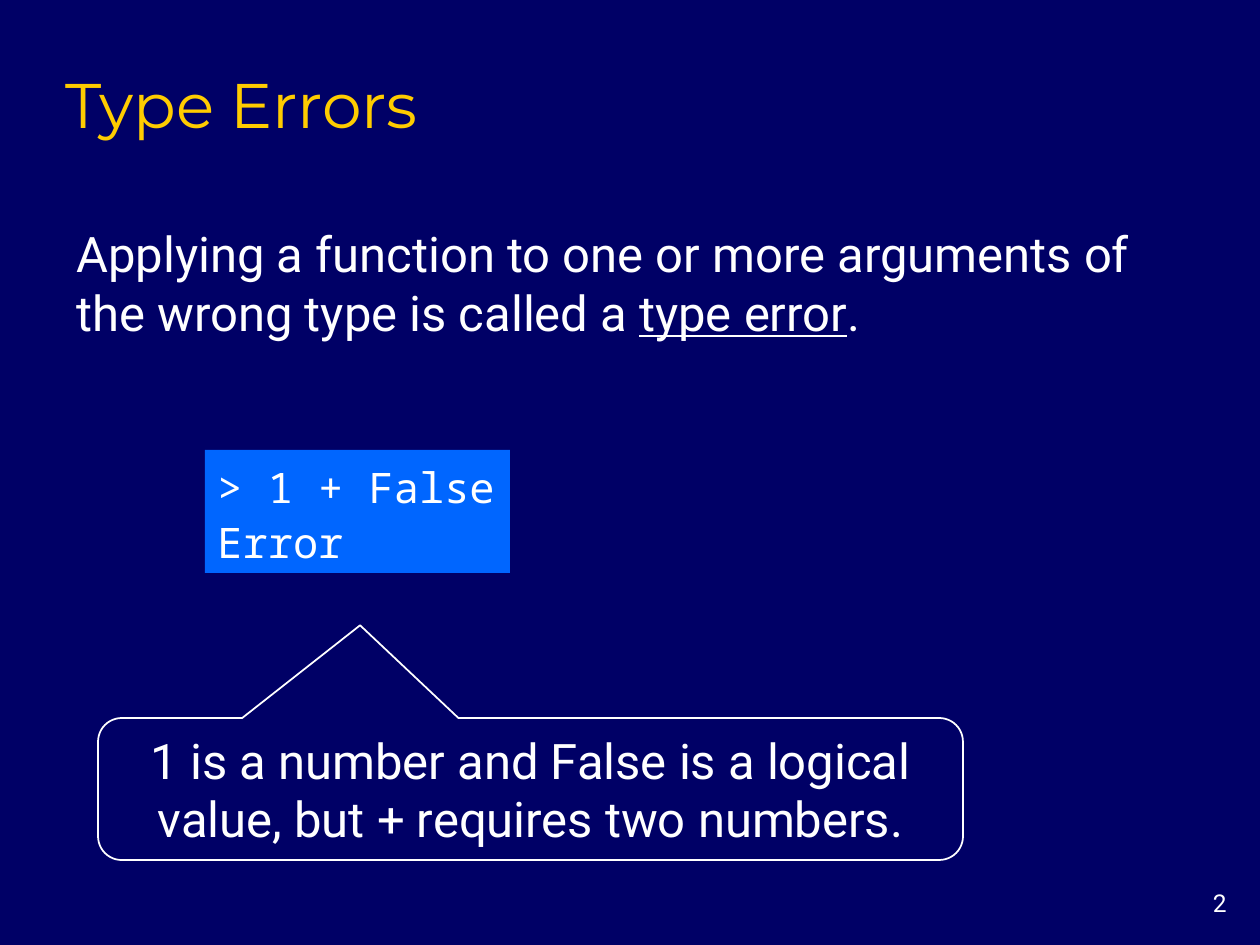
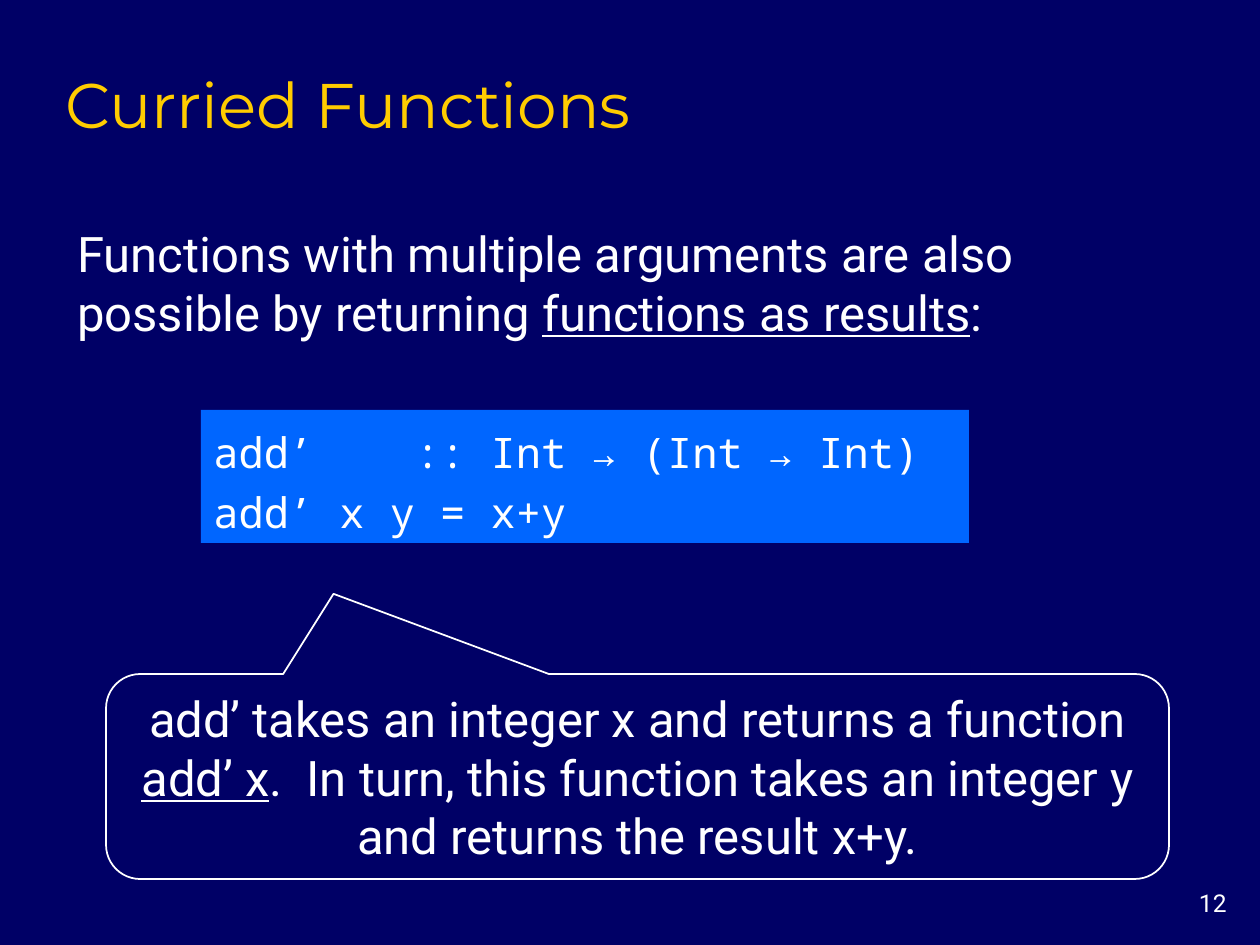
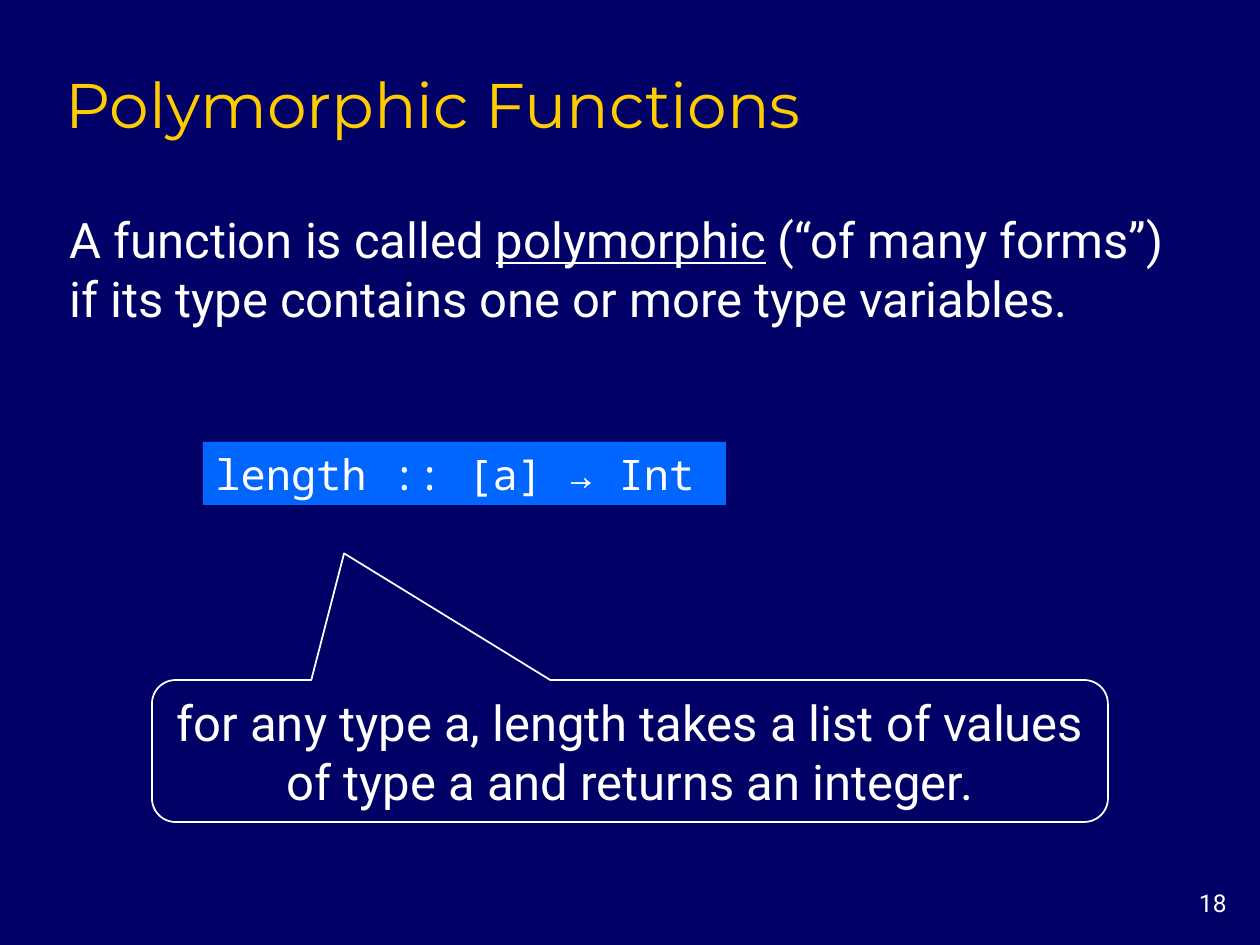
import pptx
import pptx.dml.color
import pptx.enum.shapes
import pptx.enum.text
import pptx.util

NAVY = pptx.dml.color.RGBColor(0x00, 0x00, 0x66)
BLUE = pptx.dml.color.RGBColor(0x00, 0x66, 0xFF)
GOLD = pptx.dml.color.RGBColor(0xFF, 0xCC, 0x00)
WHITE = pptx.dml.color.RGBColor(0xFF, 0xFF, 0xFF)

PIXELS_PER_INCH = 126
SLIDE_SIZE = (1260, 945)
TITLE_BOX = (53, 53, 1071, 94)
NUMBER_BOX = (1155, 882, 84, 42)
CALLOUT_CORNER = 0.167

SHAPES = pptx.enum.shapes.MSO_SHAPE
ALIGN = pptx.enum.text.PP_ALIGN
ANCHOR = pptx.enum.text.MSO_ANCHOR
GROW = pptx.enum.text.MSO_AUTO_SIZE.SHAPE_TO_FIT_TEXT

# Per role: font size, font name, colour, then frame and paragraph settings
STYLES = {
    "title": (36, "Montserrat", GOLD, {"vertical_anchor": ANCHOR.BOTTOM}, {"alignment": ALIGN.LEFT}),
    "number": (14, "Roboto", WHITE, {"vertical_anchor": ANCHOR.TOP}, {"alignment": ALIGN.RIGHT}),
    "body": (28, "Roboto", WHITE, {"vertical_anchor": ANCHOR.MIDDLE, "auto_size": GROW},
             {"alignment": ALIGN.LEFT}),
    "code": (24, "Noto Sans Mono", WHITE,
             {"vertical_anchor": ANCHOR.MIDDLE, "auto_size": GROW, "margin_right": 0},
             {"alignment": ALIGN.LEFT}),
    "callout": (28, "Roboto", WHITE, {"vertical_anchor": ANCHOR.MIDDLE, "auto_size": GROW},
                {"alignment": ALIGN.CENTER}),
}

# Text is a list of paragraphs; in each, every second run is underlined
SLIDES = [
    {
        "number": "2",
        "title": "Type Errors",
        "body": ["Applying a function to one or more arguments of the wrong type is called a ",
                 "type error", "."],
        "body_box": (64, 217, 1154, 130),
        "code": ["> 1 + False", "Error"],
        "code_box": (205, 450, 305, 123),
        "line_spacing": 1.1,
        "callout": ["1 is a number and False is a logical value, but + requires two numbers."],
        "callout_box": (98, 718, 865, 142),
        "tail": (-0.197, -1.153),
    },
    {
        "number": "12",
        "title": "Curried Functions",
        "body": ["Functions with multiple arguments are also possible by returning ",
                 "functions as results", ":"],
        "body_box": (65, 217, 1149, 130),
        "code": ["add’    :: Int → (Int → Int)", "add’ x y = x+y"],
        "code_box": (201, 410, 768, 133),
        "line_spacing": 1.2,
        "callout": ["add’ takes an integer x and returns a function ", "add’ x",
                    ".  In turn, this function takes an integer y and returns the result x+y."],
        "callout_box": (106, 674, 1063, 205),
        "tail": (-0.286, -0.891),
    },
    {
        "number": "18",
        "title": "Polymorphic Functions",
        "body": ["A function is called ", "polymorphic",
                 " (“of many forms”) if its type contains one or more type variables."],
        "body_box": (57, 203, 1123, 130),
        "code": ["length :: [a] → Int"],
        "code_box": (203, 442, 523, 63),
        "line_spacing": 1.0,
        "callout": ["for any type a, length takes a list of values of type a and returns an integer."],
        "callout_box": (152, 680, 956, 142),
        "tail": (-0.299, -1.392),
    },
]


def emu(pixels):
    """Turn pixels into EMU."""
    return pptx.util.Emu(round(pixels * 914400 / PIXELS_PER_INCH))


def apply_values(target, values):
    """Set each named attribute of the target."""
    for name, value in values.items():
        setattr(target, name, value)


def write_text(shape, role, paragraphs, line_spacing=None):
    """Fill a shape with paragraphs of runs in the style of its role."""
    size, font_name, color, frame_values, paragraph_values = STYLES[role]
    frame = shape.text_frame
    apply_values(frame, {"word_wrap": True, **frame_values})
    for index, runs in enumerate(paragraphs):
        paragraph = frame.add_paragraph() if index else frame.paragraphs[0]
        apply_values(paragraph, {**paragraph_values, "line_spacing": line_spacing})
        for position, text in enumerate(runs):
            run = paragraph.add_run()
            run.text = text
            apply_values(run.font, {"size": pptx.util.Pt(size), "name": font_name,
                                    "underline": position % 2 == 1})
            run.font.color.rgb = color


def add_text(slide, role, box, runs):
    """Add a text box holding one paragraph."""
    shape = slide.shapes.add_textbox(*map(emu, box))
    write_text(shape, role, [runs])


def add_code(slide, box, lines, line_spacing):
    """Add a blue panel with one paragraph per line of code."""
    shape = slide.shapes.add_shape(SHAPES.RECTANGLE, *map(emu, box))
    shape.shadow.inherit = False
    shape.fill.solid()
    shape.fill.fore_color.rgb = BLUE
    shape.line.fill.background()
    write_text(shape, "code", [[line] for line in lines], line_spacing)


def add_callout(slide, box, tail, runs):
    """Add an outlined speech bubble whose tail points at the code."""
    shape = slide.shapes.add_shape(SHAPES.ROUNDED_RECTANGULAR_CALLOUT, *map(emu, box))
    for index, value in enumerate((*tail, CALLOUT_CORNER)):
        shape.adjustments[index] = value
    shape.shadow.inherit = False
    shape.fill.background()
    shape.line.color.rgb = WHITE
    shape.line.width = pptx.util.Pt(1)
    write_text(shape, "callout", [runs])


def build_slide(presentation, content):
    """Add one slide from its content."""
    slide = presentation.slides.add_slide(presentation.slide_layouts[6])
    add_text(slide, "number", NUMBER_BOX, [content["number"]])
    add_text(slide, "title", TITLE_BOX, [content["title"]])
    add_text(slide, "body", content["body_box"], content["body"])
    add_code(slide, content["code_box"], content["code"], content["line_spacing"])
    add_callout(slide, content["callout_box"], content["tail"], content["callout"])


presentation = pptx.Presentation()
presentation.slide_width, presentation.slide_height = map(emu, SLIDE_SIZE)
background = presentation.slide_master.background.fill
background.solid()
background.fore_color.rgb = NAVY
for content in SLIDES:
    build_slide(presentation, content)
presentation.save("out.pptx")
